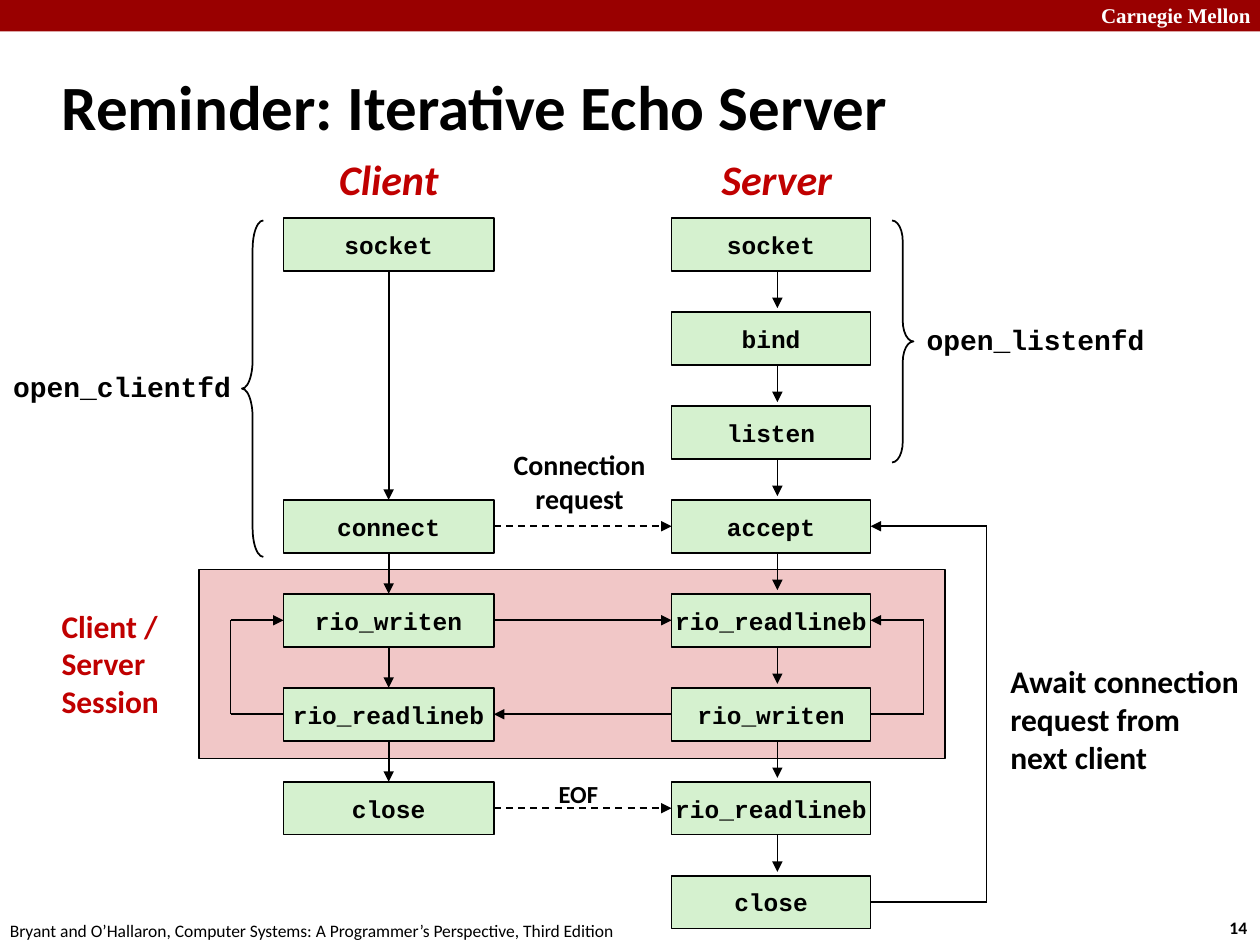
import lxml.etree
import pptx
import pptx.dml.color
import pptx.enum.dml
import pptx.enum.shapes
import pptx.enum.text
import pptx.oxml.ns
import pptx.util

Inches = pptx.util.Inches
Shape = pptx.enum.shapes.MSO_SHAPE
Align = pptx.enum.text.PP_ALIGN
Anchor = pptx.enum.text.MSO_ANCHOR

BLACK = pptx.dml.color.RGBColor(0x00, 0x00, 0x00)
WHITE = pptx.dml.color.RGBColor(0xFF, 0xFF, 0xFF)
BANNER_RED = pptx.dml.color.RGBColor(0x99, 0x00, 0x00)
ACCENT_RED = pptx.dml.color.RGBColor(0xC0, 0x00, 0x00)
SESSION_PINK = pptx.dml.color.RGBColor(0xF1, 0xC7, 0xC7)
CALL_GREEN = pptx.dml.color.RGBColor(0xD5, 0xF1, 0xCF)

CALL_HEIGHT = 0.42
FIRST_TOP, LAST_TOP = 1.73, 6.95
ROW_PITCH = (LAST_TOP - FIRST_TOP) / 7
TOP, LEFT, BOTTOM, RIGHT = range(4)

CLIENT_CALLS = {0: "socket", 3: "connect", 4: "rio_writen",
                5: "rio_readlineb", 6: "close"}
SERVER_CALLS = dict(enumerate(["socket", "bind", "listen", "accept", "rio_readlineb",
                               "rio_writen", "rio_readlineb", "close"]))


def write_text(shape, lines, size, wrap=False, align=Align.LEFT,
               anchor=Anchor.MIDDLE, color=BLACK, **font_format):
    frame = shape.text_frame
    frame.word_wrap = wrap
    frame.vertical_anchor = anchor
    values = {"name": "Calibri", "size": pptx.util.Pt(size), "bold": True} | font_format
    for index, line in enumerate(lines):
        paragraph = frame.add_paragraph() if index else frame.paragraphs[0]
        paragraph.text = line
        paragraph.alignment = align
        for attribute, value in values.items():
            setattr(paragraph.font, attribute, value)
        paragraph.font.color.rgb = color


def add_label(slide, box, lines, size, **text_format):
    shape = slide.shapes.add_textbox(*map(Inches, box))
    write_text(shape, lines, size, **text_format)


def add_figure(slide, kind, box, fill=None, outlined=True):
    shape = slide.shapes.add_shape(kind, *map(Inches, box))
    shape.shadow.inherit = False
    if fill is None:
        shape.fill.background()
    else:
        shape.fill.solid()
        shape.fill.fore_color.rgb = fill
    if outlined:
        shape.line.color.rgb = BLACK
        shape.line.width = pptx.util.Pt(1)
    else:
        shape.line.fill.background()
    return shape


def add_line(slide, start=(0, 0), end=(0, 0), arrow=True, dashed=False,
             source=None, target=None):
    """Draw from start to end; source and target are (shape, side) joints."""
    line = slide.shapes.add_connector(
        pptx.enum.shapes.MSO_CONNECTOR.STRAIGHT, *start, *end)
    if source:
        line.begin_connect(*source)
    if target:
        line.end_connect(*target)
    line.line.color.rgb = BLACK
    line.line.width = pptx.util.Pt(1)
    if dashed:
        line.line.dash_style = pptx.enum.dml.MSO_LINE.DASH
    qualify = pptx.oxml.ns.qn
    properties = line._element.spPr
    if arrow:
        lxml.etree.SubElement(properties.find(qualify("a:ln")),
                              qualify("a:tailEnd"), type="triangle")
    lxml.etree.SubElement(properties, qualify("a:effectLst"))


def add_loop(slide, source, target, side, x):
    """Lead a three-part arrow from source out to x and back to target."""
    x = Inches(x)
    edge = source.left + (source.width if side == RIGHT else 0)
    source_y, target_y = (shape.top + shape.height // 2 for shape in (source, target))
    add_line(slide, (edge, source_y), (x, source_y), arrow=False, source=(source, side))
    add_line(slide, (x, source_y), (x, target_y), arrow=False)
    add_line(slide, (x, target_y), (edge, target_y), target=(target, side))


def add_calls(slide, left, width, calls):
    shapes = {}
    for row, name in calls.items():
        box = (left, FIRST_TOP + row * ROW_PITCH, width, CALL_HEIGHT)
        shapes[row] = add_figure(slide, Shape.RECTANGLE, box, CALL_GREEN)
        write_text(shapes[row], [name], 14, align=Align.CENTER, name="Courier New")
    return shapes


def add_page_frame(slide, width):
    add_figure(slide, Shape.RECTANGLE, (0, 0, width, 0.25), BANNER_RED, outlined=False)
    add_label(slide, (8.64, -0.03, 1.43, 0.3), ["Carnegie Mellon"], 12, wrap=True,
              anchor=Anchor.TOP, color=WHITE, name="Times New Roman")
    add_label(slide, (9.66, 7.23, 0.37, 0.27), ["14"], 10, anchor=Anchor.TOP)
    add_label(slide, (-0.02, 7.25, 5.08, 0.27),
              ["Bryant and O’Hallaron, Computer Systems: "
               "A Programmer’s Perspective, Third Edition"],
              10, anchor=Anchor.TOP, bold=False)
    add_label(slide, (0.39, 0.42, 8.3, 0.83),
              ["Reminder: Iterative Echo Server"], 36, wrap=True)


def add_session(slide, box):
    add_figure(slide, Shape.RECTANGLE, box, SESSION_PINK)
    left, top = box[:2]
    add_label(slide, (left - 1.19, top + 0.24, 1.03, 1.01),
              ["Client / Server", "Session"], 18, wrap=True, color=ACCENT_RED)


def add_client(slide, left, width):
    add_label(slide, (left + width / 2 - 0.5, 1.17, 1, 0.5), ["Client"], 24,
              align=Align.CENTER, color=ACCENT_RED, italic=True)
    calls = add_calls(slide, left, width, CLIENT_CALLS)
    rows = list(calls)
    for row, following in zip(rows, rows[1:]):
        add_line(slide, source=(calls[row], BOTTOM), target=(calls[following], TOP))
    add_loop(slide, calls[5], calls[4], LEFT, left - 0.42)
    return calls


def add_server(slide, left, width):
    add_label(slide, (left + 0.29, 1.17, 1.09, 0.5), ["Server"], 24,
              align=Align.CENTER, color=ACCENT_RED, italic=True)
    calls = add_calls(slide, left, width, SERVER_CALLS)
    arrow_x = Inches(left + 0.84)
    for row in range(len(calls) - 1):
        upper, lower = calls[row], calls[row + 1]
        add_line(slide, (arrow_x, upper.top + upper.height),
                 (arrow_x, lower.top - Inches(0.03)))
    add_loop(slide, calls[5], calls[4], RIGHT, left + 2)
    add_loop(slide, calls[7], calls[3], RIGHT, left + 2.5)
    add_label(slide, (left + 2.59, 5.2, 2.03, 1.01),
              ["Await connection", "request from", "next client"], 18)
    return calls


def add_messages(slide, client, server):
    for row in (3, 4, 5, 6):
        joints = [(client[row], RIGHT), (server[row], LEFT)]
        if row == 5:
            joints.reverse()
        add_line(slide, source=joints[0], target=joints[1], dashed=row in (3, 6))
    add_label(slide, (3.97, 3.5, 1.26, 0.64), ["Connection", "request"], 16,
              align=Align.CENTER)
    add_label(slide, (4.33, 6.13, 0.52, 0.34), ["EOF"], 14, align=Align.CENTER)


def add_brace(slide, kind, box, curve, name, label_left):
    brace = add_figure(slide, kind, box)
    brace.adjustments[0] = curve
    top, height = box[1], box[3]
    add_label(slide, (label_left, top + height / 2 - 0.2, 1.94, 0.37), [name], 16,
              align=Align.CENTER, name="Courier New")


def main():
    presentation = pptx.Presentation()
    presentation.slide_width, presentation.slide_height = Inches(10), Inches(7.5)
    slide = presentation.slides.add_slide(presentation.slide_layouts[6])
    add_page_frame(slide, 10)
    add_session(slide, (1.58, 4.52, 5.92, 1.5))
    client = add_client(slide, 2.25, 1.67)
    server = add_server(slide, 5.33, 1.58)
    add_messages(slide, client, server)
    add_brace(slide, Shape.LEFT_BRACE, (1.92, 1.75, 0.17, 2.67), 1.33, "open_clientfd", 0)
    add_brace(slide, Shape.RIGHT_BRACE, (7.08, 1.75, 0.17, 1.92), 0.96,
              "open_listenfd", 7.25)
    presentation.save("out.pptx")


if __name__ == "__main__":
    main()
